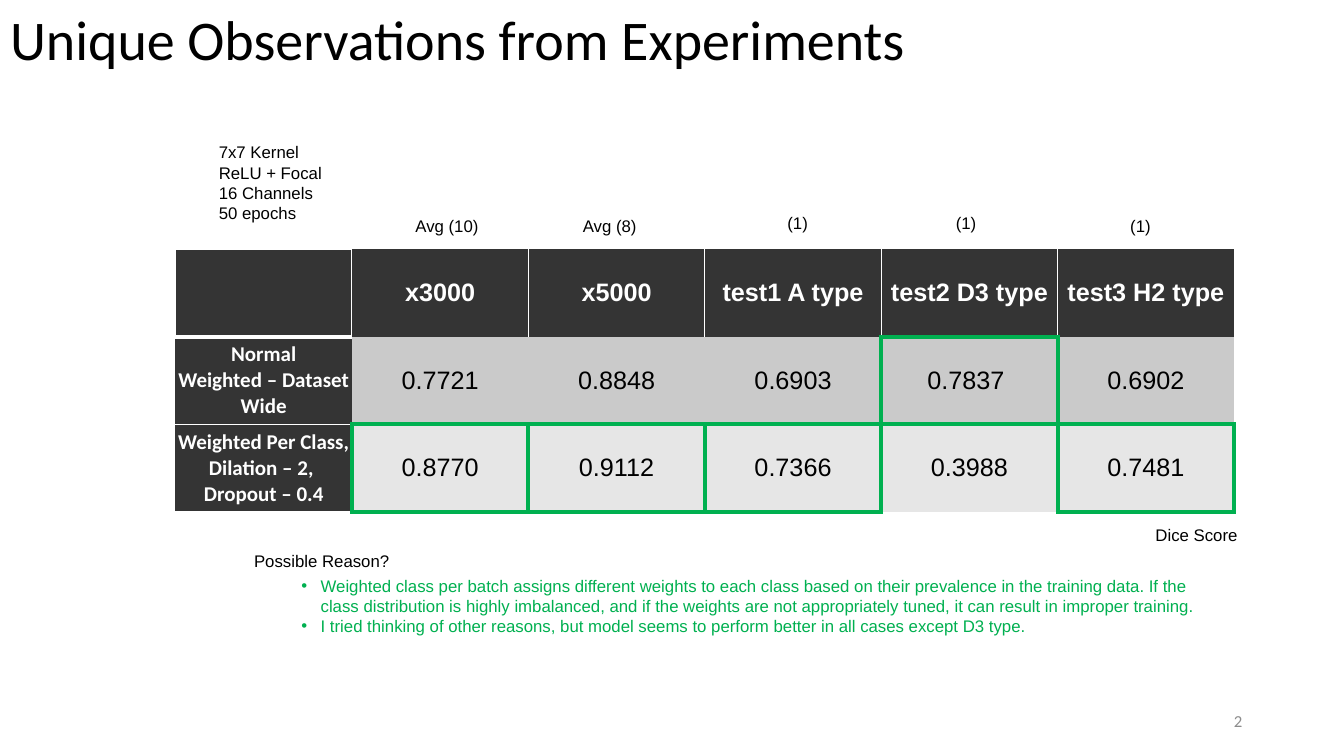
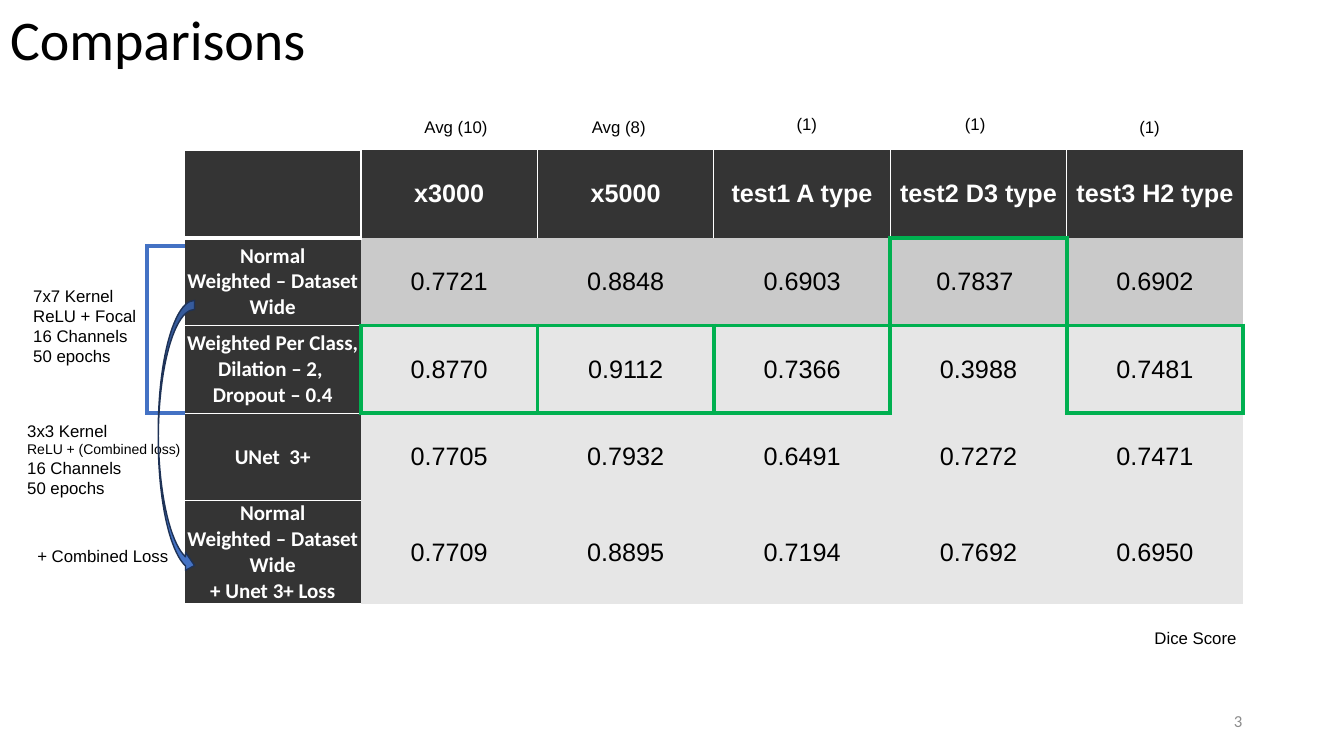
from lxml import etree
from pptx import Presentation
from pptx import util as u
from pptx.dml.color import RGBColor
from pptx.enum import shapes, text
from pptx.oxml.ns import qn

BLACK = RGBColor(0x00, 0x00, 0x00)
WHITE = RGBColor(0xFF, 0xFF, 0xFF)
CHARCOAL = RGBColor(0x34, 0x34, 0x34)
MID_GREY = RGBColor(0xCA, 0xCA, 0xCA)
LIGHT_GREY = RGBColor(0xE6, 0xE6, 0xE6)
NUMBER_GREY = RGBColor(0x8C, 0x8C, 0x8C)
GREEN = RGBColor(0x00, 0xB0, 0x50)
BLUE = RGBColor(0x44, 0x72, 0xC4)
NAVY = RGBColor(0x1E, 0x32, 0x56)

LEFT, CENTER, RIGHT = text.PP_ALIGN.LEFT, text.PP_ALIGN.CENTER, text.PP_ALIGN.RIGHT
TOP, MIDDLE, BOTTOM = text.MSO_ANCHOR.TOP, text.MSO_ANCHOR.MIDDLE, text.MSO_ANCHOR.BOTTOM

COLUMN, ROW, TALL_ROW = 1.75, 0.87, 1.02
LINE = 0.2
SIDES = {"a:lnL": (0, -1), "a:lnR": (0, 1), "a:lnT": (-1, 0), "a:lnB": (1, 0)}
CAPTIONS = [("Avg (10)", 2.38, 0.33), ("Avg (8)", 4.04, 0.33), ("(1)", 6.07, 0.36),
            ("(1)", 7.74, 0.36), ("(1)", 9.47, 0.33)]
SETTINGS = "7x7 Kernel\nReLU + Focal\n16 Channels\n50 epochs"

HEADER = ["", "x3000", "x5000", "test1 A type", "test2 D3 type", "test3 H2 type"]
NORMAL = ["Normal\nWeighted – Dataset Wide", "0.7721", "0.8848", "0.6903", "0.7837 ", "0.6902"]
PER_CLASS = ["Weighted Per Class,\nDilation – 2, \nDropout – 0.4",
             "0.8770", "0.9112", "0.7366", "0.3988", "0.7481"]
UNET = ["UNet  3+", "0.7705", "0.7932", "0.6491", "0.7272", "0.7471"]
COMBINED = ["Normal\nWeighted – Dataset Wide\n+ Unet 3+ Loss",
            "0.7709", "0.8895", "0.7194", "0.7692", "0.6950"]
BEST = {(1, 4), (2, 1), (2, 2), (2, 3), (2, 5)}

PAGES = [
    ("Unique Observations from Experiments", 2, 1.74, 2.47,
     [HEADER, NORMAL, PER_CLASS], (2.17, 1.41), (11.46, 5.21)),
    ("Comparisons", 3, 1.83, 1.49,
     [HEADER, NORMAL, PER_CLASS, UNET, COMBINED], (0.33, 2.83), (11.45, 6.23)),
]


def write(frame, wording, size=12, font="Arial", color=BLACK, bold=False,
          align=LEFT, anchor=TOP, bullet=None, spacing=None):
    frame.text = wording
    frame.word_wrap = True
    frame.vertical_anchor = anchor
    for paragraph in frame.paragraphs:
        paragraph.alignment = align
        if spacing:
            paragraph.line_spacing = spacing
        if bullet:
            properties = paragraph._p.get_or_add_pPr()
            properties.set("marL", str(u.Inches(0.19)))
            properties.set("indent", str(-u.Inches(0.19)))
            etree.SubElement(properties, qn("a:buFont"), typeface="Arial")
            etree.SubElement(properties, qn("a:buChar"), char=bullet)
        for run in paragraph.runs:
            run.font.size = u.Pt(size)
            run.font.name = font
            run.font.bold = bold
            run.font.color.rgb = color


def label(slide, wording, left, top, width, height=LINE, margin=0, **style):
    frame = slide.shapes.add_textbox(*map(u.Inches, (left, top, width, height))).text_frame
    frame.margin_left = frame.margin_right = u.Inches(margin)
    frame.margin_top = frame.margin_bottom = u.Inches(margin / 2)
    write(frame, wording, **style)
    return frame


deck = Presentation()
deck.slide_width, deck.slide_height = u.Inches(13.33), u.Inches(7.5)

for heading, number, left, top, rows, settings_at, score_at in PAGES:
    slide = deck.slides.add_slide(deck.slide_layouts[5])
    title = slide.shapes.title
    title.left, title.top, title.width, title.height = map(u.Inches, (0, 0, 10, 0.77))
    title.text_frame.auto_size = text.MSO_AUTO_SIZE.NONE
    write(title.text_frame, heading, size=40, font="Calibri", anchor=BOTTOM, spacing=0.9)
    label(slide, str(number), 9.42, 6.95, 3, 0.4, margin=0.1, font="Calibri",
          color=NUMBER_GREY, align=RIGHT, anchor=MIDDLE)

    heights = [TALL_ROW if row is COMBINED else ROW for row in rows]
    scores = slide.shapes.add_table(
        len(rows), len(HEADER),
        *map(u.Inches, (left, top, COLUMN * len(HEADER), sum(heights)))).table
    scores.horz_banding = False
    for column in scores.columns:
        column.width = u.Inches(COLUMN)
    for r, (row, height) in enumerate(zip(rows, heights)):
        scores.rows[r].height = u.Inches(height)
        for c, wording in enumerate(row):
            cell = scores.cell(r, c)
            cell.margin_left = cell.margin_right = cell.margin_top = cell.margin_bottom = 0
            cell.vertical_anchor = MIDDLE
            dark = r == 0 or c == 0
            method = c == 0
            write(cell.text_frame, wording, size=15 if method else 18,
                  font="Calibri" if method else "Arial", color=WHITE if dark else BLACK,
                  bold=dark, align=CENTER, anchor=None)
            for side, (down, across) in SIDES.items():
                pair = {(r, c), (r + down, c + across)}
                line = etree.SubElement(cell._tc.get_or_add_tcPr(), qn(side))
                if pair & BEST:
                    color, weight = GREEN, 3
                elif (c == 0 if down else r == 0):
                    color, weight = WHITE, 3 if pair == {(0, 0), (1, 0)} else 1
                else:
                    etree.SubElement(line, qn("a:noFill"))
                    continue
                line.set("w", str(u.Pt(weight)))
                paint = etree.SubElement(line, qn("a:solidFill"))
                etree.SubElement(paint, qn("a:srgbClr"), val=str(color))
            cell.fill.solid()
            cell.fill.fore_color.rgb = CHARCOAL if dark else MID_GREY if r == 1 else LIGHT_GREY

    for wording, offset, rise in CAPTIONS:
        label(slide, wording, left + offset, top - rise, 0.88)
    label(slide, SETTINGS, *settings_at, 1.34, 4 * LINE)
    label(slide, "Dice Score", *score_at, 0.88)

observations, comparisons = deck.slides

label(observations, "Possible Reason?", 2.52, 5.46, 1.5)
label(observations,
      "Weighted class per batch assigns different weights to each class based on their "
      "prevalence in the training data. If the class distribution is highly imbalanced, "
      "and if the weights are not appropriately tuned, it can result in improper training.\n"
      "I tried thinking of other reasons, but model seems to perform better in all cases "
      "except D3 type.",
      2.99, 5.71, 9.02, 3 * LINE, color=GREEN, bullet="•")

spine, table_edge, upper, lower = 1.46, 1.83, 2.44, 4.1
for ends in [(spine, upper - 0.02, spine, lower + 0.02),
             (table_edge, upper, spine, upper),
             (table_edge, lower, spine, lower)]:
    bracket = comparisons.shapes.add_connector(
        shapes.MSO_CONNECTOR.STRAIGHT, *map(u.Inches, ends))
    bracket.line.color.rgb = BLUE
    bracket.line.width = u.Pt(3)
    etree.SubElement(bracket._element.spPr, qn("a:effectLst"))

unet_settings = label(comparisons, "3x3 Kernel\nReLU + (Combined loss)\n16 Channels\n50 epochs",
                      0.27, 4.17, 2.17, 0.77)
unet_settings.paragraphs[1].runs[0].font.size = u.Pt(10)

loss_arrow = comparisons.shapes.add_shape(
    shapes.MSO_SHAPE.CURVED_RIGHT_ARROW, *map(u.Inches, (1.57, 2.98, 0.36, 2.72)))
loss_arrow.shadow.inherit = False
loss_arrow.fill.solid()
loss_arrow.fill.fore_color.rgb = BLUE
loss_arrow.line.color.rgb = NAVY
loss_arrow.line.width = u.Pt(1)
label(comparisons, "+ Combined Loss", 0.37, 5.41, 1.4)

deck.save("out.pptx")
